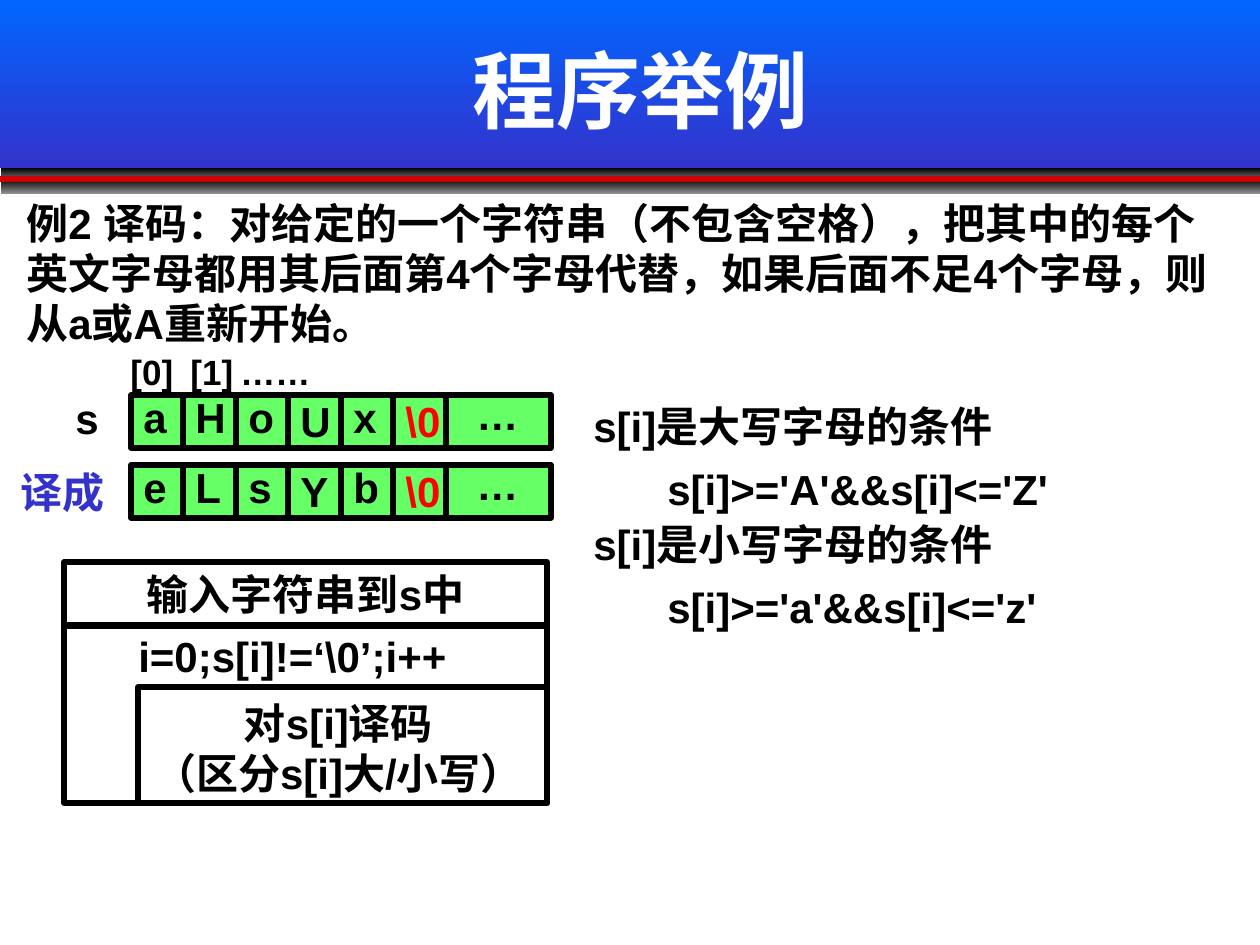
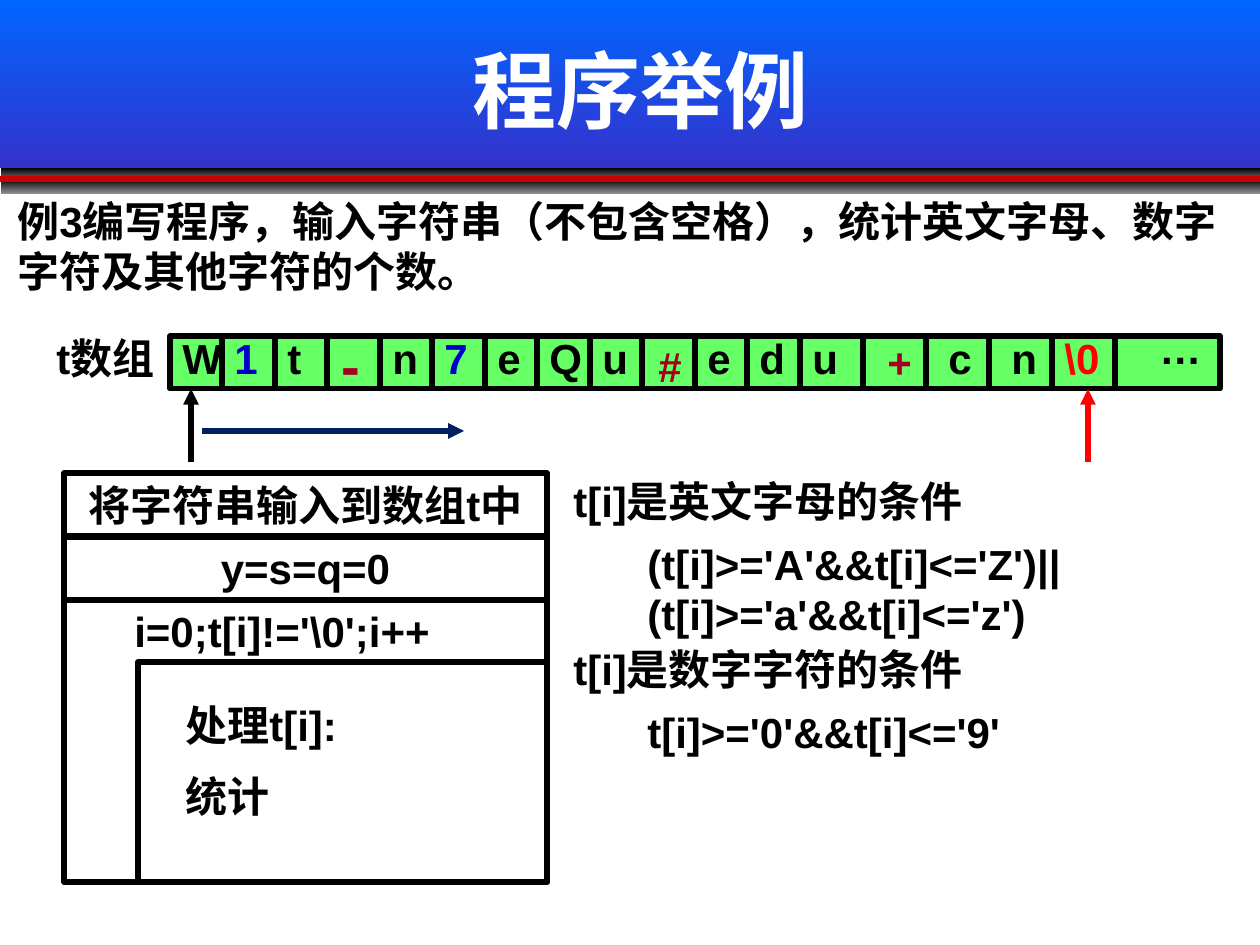
from lxml.etree import SubElement
from pptx import Presentation
from pptx.dml.color import RGBColor
from pptx.enum.shapes import MSO_CONNECTOR, MSO_SHAPE
from pptx.enum.text import MSO_ANCHOR, PP_ALIGN
from pptx.oxml.ns import qn
from pptx.util import Emu, Pt

FONT = "Arial"
BLACK = RGBColor(0x00, 0x00, 0x00)
WHITE = RGBColor(0xFF, 0xFF, 0xFF)
GREY = RGBColor(0x92, 0x92, 0x92)
SKY = RGBColor(0x00, 0x66, 0xFF)
INDIGO = RGBColor(0x33, 0x33, 0xCC)
NAVY = RGBColor(0x00, 0x20, 0x60)
BLUE = RGBColor(0x00, 0x00, 0xCC)
RULE_RED = RGBColor(0xCC, 0x00, 0x00)
RED = RGBColor(0xFF, 0x00, 0x00)
MAROON = RGBColor(0xA5, 0x00, 0x21)
GREEN = RGBColor(0x66, 0xFF, 0x66)

CELL_H = 53
LINE_H = 64


def px(n):
    return Emu(round(n * 914400 / 126))


def format_text(tf, text, size=24, color=BLACK, align=PP_ALIGN.LEFT, gap=0):
    tf.word_wrap = True
    tf.text = text
    for i, p in enumerate(tf.paragraphs):
        p.alignment = align
        p.font.name = FONT
        p.font.size = Pt(size)
        p.font.bold = True
        p.font.color.rgb = color
        p._p.get_or_add_pPr().set("hangingPunct", "1")
        if i:
            p.space_before = Pt(gap)


def add_text(s, x, y, w, h, text, **style):
    box = s.shapes.add_textbox(px(x), px(y), px(w), px(h))
    format_text(box.text_frame, text, **style)


def add_rect(s, x, y, w, h):
    sp = s.shapes.add_shape(MSO_SHAPE.RECTANGLE, px(x), px(y), px(w), px(h))
    sp.shadow.inherit = False
    return sp


def add_frame(s, x, y, w, h, text="", fill=None):
    sp = add_rect(s, x, y, w, h)
    if fill is None:
        sp.fill.background()
    else:
        sp.fill.solid()
        sp.fill.fore_color.rgb = fill
    sp.line.color.rgb = BLACK
    sp.line.width = Pt(3)
    if text:
        sp.text_frame.vertical_anchor = MSO_ANCHOR.TOP
        format_text(sp.text_frame, text, align=PP_ALIGN.CENTER)
    return sp


def add_line(s, x1, y1, x2, y2, color=BLACK, arrow=False):
    c = s.shapes.add_connector(MSO_CONNECTOR.STRAIGHT, px(x1), px(y1), px(x2), px(y2))
    c.line.color.rgb = color
    c.line.width = Pt(3)
    if arrow:
        SubElement(c.line._get_or_add_ln(), qn("a:tailEnd"), type="triangle")
    SubElement(c._element.spPr, qn("a:effectLst"))
    return c


def add_gradient(s, x, y, w, h, top, bottom):
    sp = add_rect(s, x, y, w, h)
    sp.fill.gradient()
    sp.fill.gradient_angle = 270
    for stop, color in zip(sp.fill.gradient_stops, (top, bottom)):
        stop.color.rgb = color
    sp.line.fill.background()
    return sp


def move_header_to_layout(s):
    header = [
        add_gradient(s, 0, 0, 1260, 168, SKY, INDIGO),
        add_gradient(s, 1, 168, 1259, 15, BLACK, GREY),
        add_gradient(s, 1, 179, 1259, 15, BLACK, GREY),
        add_line(s, 0, 179, 1260, 179, RULE_RED),
    ]
    tree = s.slide_layout.shapes._spTree
    for i, sp in enumerate(header):
        tree.insert(2 + i, sp._element)


def add_slide(prs, title):
    s = prs.slides.add_slide(prs.slide_layouts[5])
    ph = s.shapes.title
    ph.left, ph.top, ph.width, ph.height = px(105), px(10), px(1071), px(157)
    ph.text_frame.vertical_anchor = MSO_ANCHOR.MIDDLE
    format_text(ph.text_frame, title, 48, WHITE, PP_ALIGN.CENTER)
    return s


def char_color(char):
    if char == "\\0":
        return RED
    if char.isdigit():
        return BLUE
    return MAROON if char in "-#+" else BLACK


def add_array(s, top, edges, chars, shifts):
    left, right = edges[0], edges[-1]
    strip = add_frame(s, left, top, right - left, CELL_H, fill=GREEN)
    for x in edges[1:-1]:
        divider = add_line(s, x, top, x, top + CELL_H)
        if 2 * x == left + right:
            divider.begin_connect(strip, 0)
            divider.end_connect(strip, 2)
    for x, char in zip(edges, chars):
        dx, dy = shifts.get(char, (0, 0))
        add_text(s, x + dx, top - 10 + dy, 42 * len(char), LINE_H, char,
                 size=32 if char == "-" else 24, color=char_color(char))


def add_loop(s, y, h, condition, x):
    add_frame(s, 64, y, 483, h)
    add_frame(s, 138, y + 62, 409, h - 62)
    add_text(s, x, y - 1, 428, LINE_H, condition)


def add_condition(s, x, y, heading, test, lines=1):
    add_text(s, x, y, 616, LINE_H, heading)
    add_text(s, x + 74, y + 63, 620, 13 + 51 * lines, test)


def build_decoding(prs):
    s = add_slide(prs, "程序举例")
    move_header_to_layout(s)
    add_text(s, 14, 191, 1211, 165,
             "例2 译码：对给定的一个字符串（不包含空格），把其中的每个英文字母都用其后面"
             "第4个字母代替，如果后面不足4个字母，则从a或A重新开始。")
    for x, index in ((118, "[0]"), (178, "[1]"), (228, "……")):
        add_text(s, x, 344, 105, 55, index, size=20)
    edges = [131 + 105 * i // 2 for i in (0, 1, 2, 3, 4, 5, 6, 8)]
    shifts = {"U": (0, 4), "Y": (0, 4), "\\0": (0, 4), "…": (18, -3)}
    add_array(s, 395, edges, [*"aHoUx", "\\0", "…"], shifts)
    add_array(s, 465, edges, [*"eLsYb", "\\0", "…"], shifts)
    add_text(s, 63, 386, 53, LINE_H, "s")
    add_text(s, 8, 460, 157, LINE_H, "译成", color=INDIGO)
    add_frame(s, 64, 562, 483, LINE_H, "输入字符串到s中")
    add_loop(s, 625, 178, "i=0;s[i]!=‘\\0’;i++", 126)
    add_text(s, 94, 691, 489, 115, "对s[i]译码\n（区分s[i]大/小写）", align=PP_ALIGN.CENTER)
    add_condition(s, 581, 394, "s[i]是大写字母的条件", "s[i]>='A'&&s[i]<='Z'")
    add_condition(s, 581, 512, "s[i]是小写字母的条件", "s[i]>='a'&&s[i]<='z'")


def build_counting(prs):
    s = add_slide(prs, "程序举例")
    add_text(s, 5, 189, 1231, 115,
             "例3编写程序，输入字符串（不包含空格），统计英文字母、数字字符及其他字符的个数。")
    add_text(s, 44, 326, 147, LINE_H, "t数组")
    edges = [170 + 105 * i // 2 for i in range(13)]
    edges += [800 + 63 * i for i in range(1, 6)] + [1220]
    chars = [*"W1t-n7eQu#edu+", "c", "n", "\\0", "…"]
    shifts = {"-": (2, -2), "#": (4, 8), "+": (12, 4), "c": (10, 0), "…": (32, -10)}
    add_array(s, 336, edges, chars[:14], shifts)
    for x, char, dx, dy in zip(edges[14:], chars[14:], (10, 10, 0, 32), (0, 0, 0, -10)):
        add_text(s, x + dx, 326 + dy, 42 * len(char), LINE_H, char, color=char_color(char))
    add_line(s, 191, 462, 191, 389, arrow=True)
    add_line(s, 1088, 462, 1088, 389, RED, arrow=True)
    add_line(s, 202, 431, 464, 431, NAVY, arrow=True)
    for y, step in ((473, "将字符串输入到数组t中"), (536, "y=s=q=0")):
        add_frame(s, 64, y, 483, LINE_H, step)
    add_loop(s, 600, 282, "i=0;t[i]!='\\0';i++", 122)
    add_text(s, 173, 693, 249, 140, "处理t[i]:\n统计", gap=12)
    add_condition(s, 561, 469, "t[i]是英文字母的条件",
                  "(t[i]>='A'&&t[i]<='Z')||(t[i]>='a'&&t[i]<='z')", lines=2)
    add_condition(s, 561, 637, "t[i]是数字字符的条件", "t[i]>='0'&&t[i]<='9'")


def main():
    prs = Presentation()
    prs.slide_width, prs.slide_height = px(1260), px(945)
    build_decoding(prs)
    build_counting(prs)
    prs.save("out.pptx")


if __name__ == "__main__":
    main()
